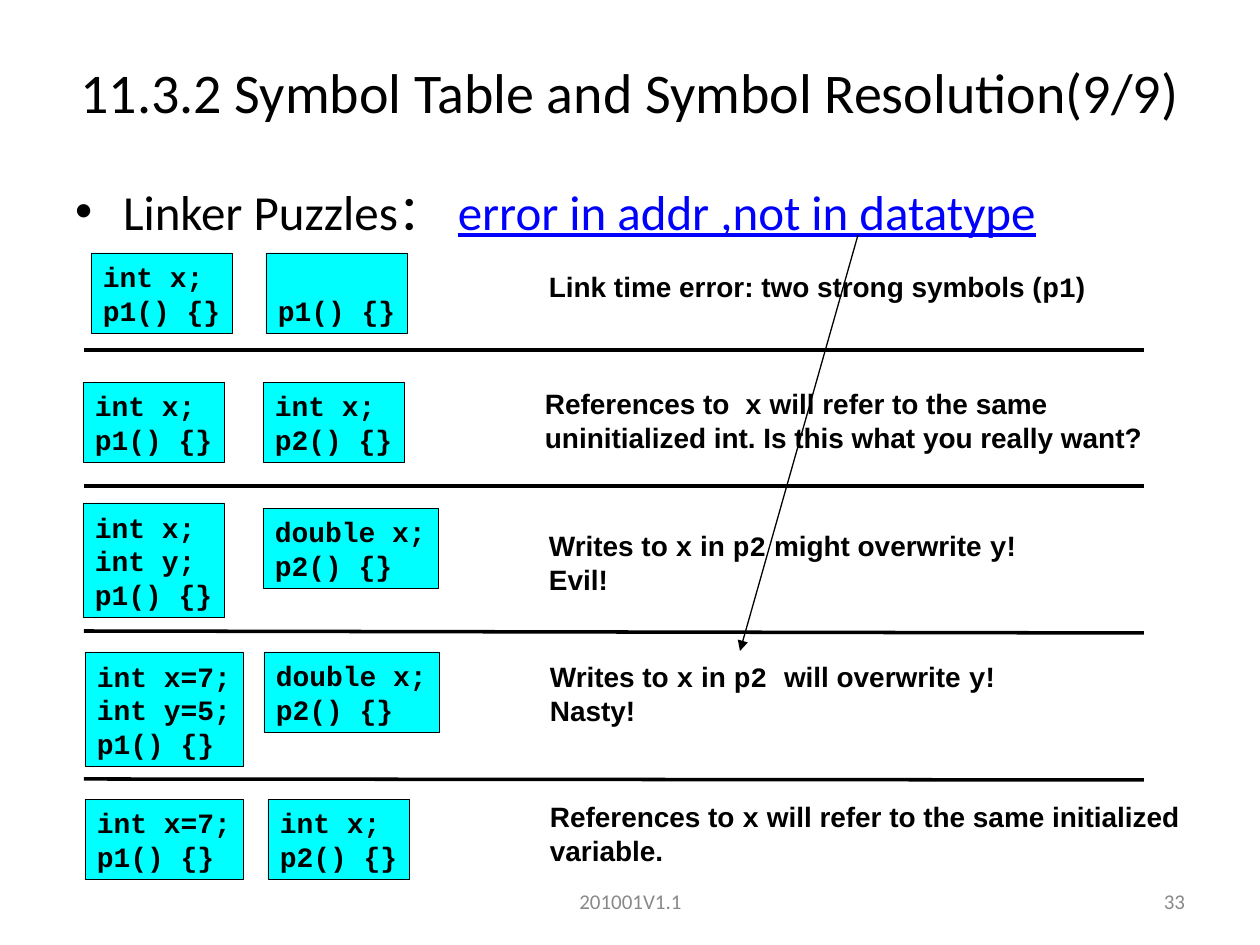
from lxml import etree
from pptx import Presentation
from pptx import util as u
from pptx.dml.color import RGBColor
from pptx.enum import shapes, text
from pptx.oxml.ns import qn

PX_PER_INCH = 126
BLACK, CYAN, BLUE, GREY = "000000", "00FFFF", "0000FF", "898989"
CODE, NOTE, HEADING = "Courier New", "Arial", "Calibri"
CODE_SIZE = 16
CHAR_WIDTH, LINE_HEIGHT, PAD_X, PAD_Y = 16.8, 34, 12, 6
NOTE_WIDTH = 690

TITLE = "11.3.2 Symbol Table and Symbol Resolution(9/9)"
TOPIC = [("Linker Puzzles： ", BLACK, False),
         ("error in addr ,not in datatype", BLUE, True)]

# Each puzzle: code boxes (left, top, lines), then note (left, top, lines).
# Backticks mark code words in a note; None leaves a code line empty.
PUZZLES = [
    ([(91, 253, ["int x;", "p1() {}"]), (266, 253, [None, "p1() {}"])],
     (537, 264, ["Link time error: two strong symbols (`p1`)"])),
    ([(83, 382, ["int x;", "p1() {}"]), (263, 382, ["int x;", "p2() {}"])],
     (533, 381, ["References to  `x` will refer to the same",
                 "uninitialized int. Is this what you really want?"])),
    ([(83, 503, ["int x;", "int y;", "p1() {}"]), (263, 508, ["double x;", "p2() {}"])],
     (537, 523, ["Writes to `x` in `p2` might overwrite `y`!", "Evil!"])),
    ([(85, 652, ["int x=7;", "int y=5;", "p1() {}"]), (264, 652, ["double x;", "p2() {}"])],
     (538, 654, ["Writes to `x` in `p2 `will overwrite `y`!", "Nasty!"])),
    ([(85, 799, ["int x=7;", "p1() {}"]), (268, 799, ["int x;", "p2() {}"])],
     (538, 794, ["References to `x` will refer to the same initialized", "variable."])),
]
DIVIDERS = [(350, 350), (486, 486), (631, 633), (779, 780)]  # left and right heights
DIVIDER_LEFT, DIVIDER_RIGHT = 84, 1144
ARROW = (858, 235, 740, 651)
FOOTERS = [("201001V1.1", 431, 399, text.PP_ALIGN.CENTER),
           ("33", 903, 294, text.PP_ALIGN.RIGHT)]


def px(length):
    return u.Emu(round(length * 914400 / PX_PER_INCH))


def color(value):
    return RGBColor.from_string(value)


def place(shape, left, top, width, height):
    shape.left, shape.top, shape.width, shape.height = map(px, (left, top, width, height))


def add_run(paragraph, words, font, size, ink=BLACK, bold=False, underline=None):
    run = paragraph.add_run()
    run.text = words
    run.font.name, run.font.size = font, u.Pt(size)
    run.font.bold, run.font.underline = bold, underline
    run.font.color.rgb = color(ink)


def set_frame(frame, wrap=True, anchor=text.MSO_ANCHOR.TOP):
    frame.word_wrap = wrap
    frame.vertical_anchor = anchor
    frame.margin_left = frame.margin_right = px(PAD_X)
    frame.margin_top = frame.margin_bottom = px(PAD_Y)


def add_lines(frame, lines):
    """Write lines of bold text, with the words between backticks in the code font."""
    for index, line in enumerate(lines):
        paragraph = frame.add_paragraph() if index else frame.paragraphs[0]
        paragraph.alignment = text.PP_ALIGN.LEFT
        for position, words in enumerate(line.split("`")):
            if words:
                add_run(paragraph, words, CODE if position % 2 else NOTE, CODE_SIZE, bold=True)


def add_code_box(slide, left, top, lines):
    shown = [line for line in lines if line]
    width = CHAR_WIDTH * max(map(len, shown)) + 2 * PAD_X
    height = LINE_HEIGHT * len(lines) + 2 * PAD_Y
    box = slide.shapes.add_shape(shapes.MSO_SHAPE.RECTANGLE,
                                 px(left), px(top), px(width), px(height))
    box.shadow.inherit = False
    box.fill.solid()
    box.fill.fore_color.rgb = color(CYAN)
    box.line.color.rgb = color(BLACK)
    box.line.width = u.Pt(0.25)
    set_frame(box.text_frame, False, text.MSO_ANCHOR.BOTTOM)
    add_lines(box.text_frame, [f"`{line}`" for line in shown])


def add_note(slide, left, top, lines):
    box = slide.shapes.add_textbox(px(left), px(top), px(NOTE_WIDTH),
                                   px(LINE_HEIGHT * len(lines) + 2 * PAD_Y))
    set_frame(box.text_frame)
    add_lines(box.text_frame, lines)


def add_line(slide, x1, y1, x2, y2, width, arrow=False):
    line = slide.shapes.add_connector(shapes.MSO_CONNECTOR.STRAIGHT,
                                      px(x1), px(y1), px(x2), px(y2))
    line.line.color.rgb = color(BLACK)
    line.line.width = u.Pt(width)
    properties = line._element.spPr
    if arrow:
        etree.SubElement(properties.find(qn("a:ln")), qn("a:tailEnd"), type="triangle")
    etree.SubElement(properties, qn("a:effectLst"))


def fill_title(title):
    place(title, 0, 38, 1260, 107)
    set_frame(title.text_frame, anchor=text.MSO_ANCHOR.MIDDLE)
    paragraph = title.text_frame.paragraphs[0]
    paragraph.alignment = text.PP_ALIGN.CENTER
    add_run(paragraph, TITLE, HEADING, 32)


def fill_body(body):
    place(body, 63, 175, 1134, 669)
    set_frame(body.text_frame)
    paragraph = body.text_frame.paragraphs[0]
    properties = paragraph._p.get_or_add_pPr()
    properties.set("marL", str(px(48)))
    properties.set("indent", str(px(-48)))
    etree.SubElement(properties, qn("a:buFont"), typeface=NOTE)
    etree.SubElement(properties, qn("a:buChar"), char="•")
    paragraph.space_before = u.Pt(0)
    for words, ink, underline in TOPIC:
        add_run(paragraph, words, HEADING, 28, ink, underline=underline)


def main():
    presentation = Presentation()
    presentation.slide_width, presentation.slide_height = px(1260), px(945)
    slide = presentation.slides.add_slide(presentation.slide_layouts[1])
    fill_title(slide.shapes.title)
    fill_body(slide.placeholders[1])

    for words, left, width, alignment in FOOTERS:
        box = slide.shapes.add_textbox(px(left), px(876), px(width), px(50))
        set_frame(box.text_frame, anchor=text.MSO_ANCHOR.MIDDLE)
        paragraph = box.text_frame.paragraphs[0]
        paragraph.alignment = alignment
        add_run(paragraph, words, HEADING, 12, GREY)

    for code_boxes, note in PUZZLES:
        for code_box in code_boxes:
            add_code_box(slide, *code_box)
        add_note(slide, *note)

    for left_y, right_y in DIVIDERS:
        add_line(slide, DIVIDER_LEFT, left_y, DIVIDER_RIGHT, right_y, 2)
    add_line(slide, *ARROW, 0.75, arrow=True)
    presentation.save("out.pptx")


if __name__ == "__main__":
    main()
